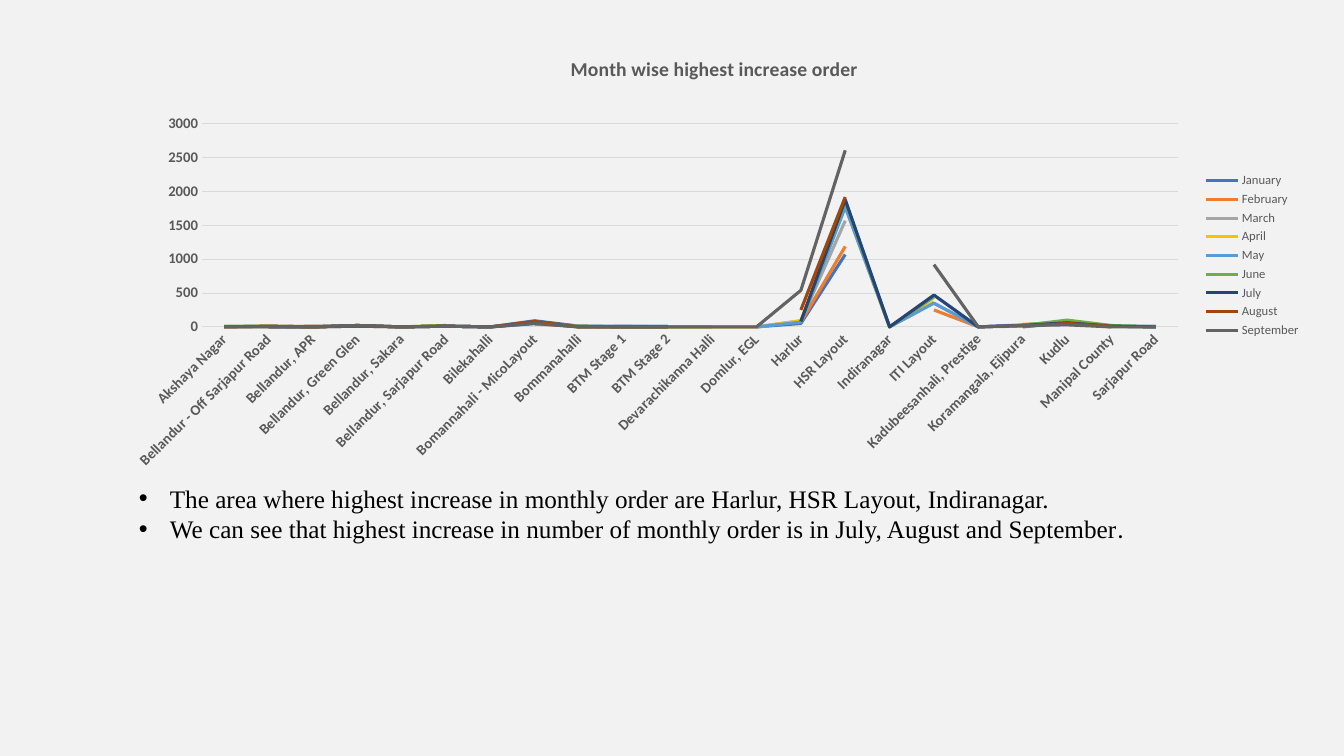
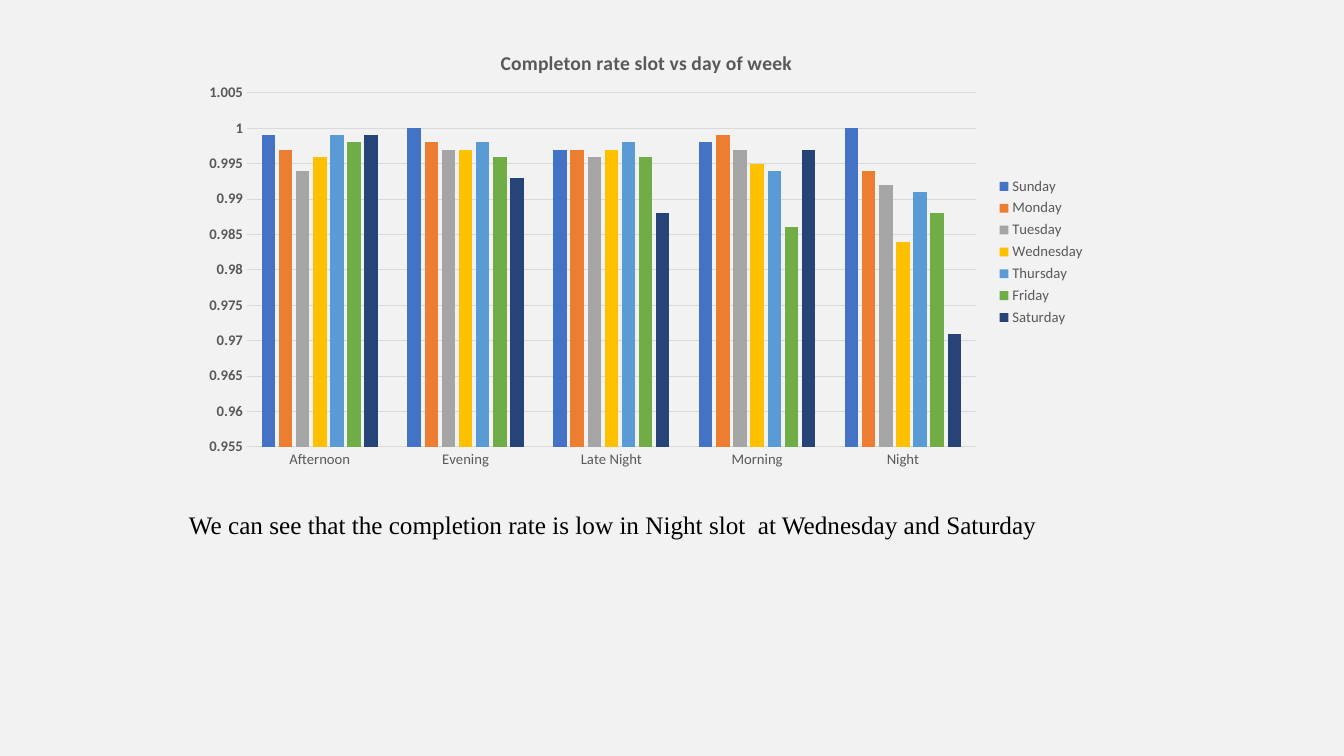
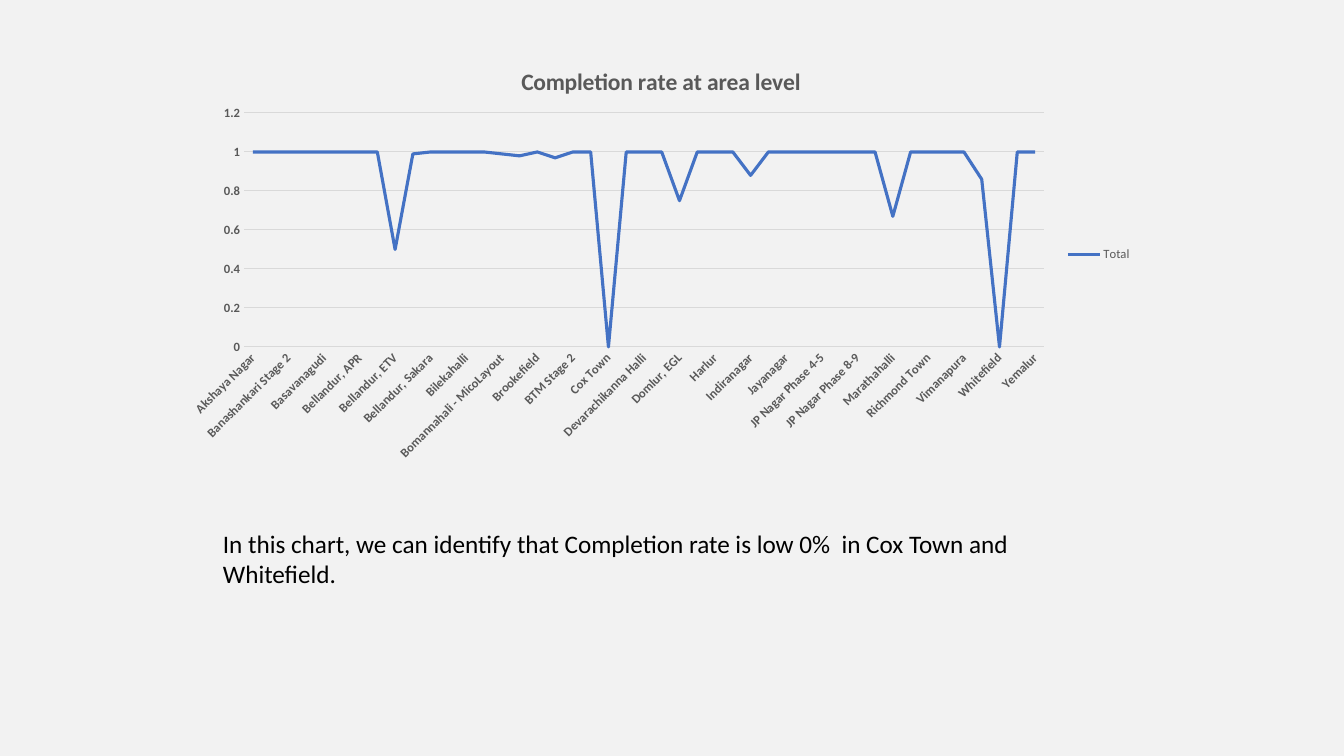
import pptx
import pptx.chart.data
import pptx.dml.color
import pptx.enum.chart
import pptx.enum.text
import pptx.oxml
import pptx.oxml.ns
import pptx.util

PX = 12192000 / 1344
BACKGROUND, INK, GREY, GRID = "F2F2F2", "000000", "595959", "D9D9D9"
PALETTE = ["4472C4", "ED7D31", "A5A5A5", "FFC000", "5B9BD5", "70AD47", "264478", "9E480E", "636363"]
LINE = pptx.enum.chart.XL_CHART_TYPE.LINE
COLUMN = pptx.enum.chart.XL_CHART_TYPE.COLUMN_CLUSTERED
SERIF, SANS = "Times New Roman", "Calibri"

ORDER_AREAS = [
    "Akshaya Nagar", "Bellandur - Off Sarjapur Road", "Bellandur, APR", "Bellandur, Green Glen",
    "Bellandur, Sakara", "Bellandur, Sarjapur Road", "Bilekahalli", "Bomannahali - MicoLayout",
    "Bommanahalli", "BTM Stage 1", "BTM Stage 2", "Devarachikanna Halli", "Domlur, EGL", "Harlur",
    "HSR Layout", "Indiranagar", "ITI Layout", "Kadubeesanhali, Prestige", "Koramangala, Ejipura",
    "Kudlu", "Manipal County", "Sarjapur Road"]
MONTHLY_ORDERS = {
    "January": [None, 0, 0, 10, None, 10, 0, 90, 10, 0, 0, 0, 0, 50, 1070, None, 260, None, 0, 60, 10, 0],
    "February": [None, 0, 10, 10, None, 0, None, 40, 10, 0, 0, 0, None, 70, 1190, None, 250, 0, 20, 50, 0, None],
    "March": [0, 0, 10, 10, 0, 10, 0, 50, 0, 10, 0, 0, 0, 90, 1570, None, 350, 0, 10, 50, 0, None],
    "April": [0, 10, 0, 20, 0, 20, None, 60, 0, 0, 0, 0, 0, 90, 1790, 0, 370, None, 40, 50, 10, 0],
    "May": [0, 10, 0, 20, 0, 10, 0, 50, 10, 10, 10, None, 0, 70, 1770, 0, 350, 0, 30, 80, 10, 10],
    "June": [10, 10, 0, 20, 0, 20, None, 60, 10, 0, 0, 0, None, 70, 1860, 0, 440, None, 20, 100, 20, 0],
    "July": [None, 0, 0, 20, 0, 10, 0, 60, 0, 0, 0, None, None, 80, 1880, 0, 470, 0, 20, 60, 10, 0],
    "August": [0, 10, 0, 10, 0, 10, 0, 80, 0, 0, 0, None, None, 250, 1920, None, 530, None, 10, 50, 10, None],
    "September": [0, 0, 0, 20, 0, 10, 0, 50, 0, 0, 0, 0, 0, 540, 2610, None, 920, 0, 20, 30, 0, 0],
}
SLOTS = ["Afternoon", "Evening", "Late Night", "Morning", "Night"]
DAY_RATES = {
    "Sunday": [0.999, 1, 0.997, 0.998, 1],
    "Monday": [0.997, 0.998, 0.997, 0.999, 0.994],
    "Tuesday": [0.994, 0.997, 0.996, 0.997, 0.992],
    "Wednesday": [0.996, 0.997, 0.997, 0.995, 0.984],
    "Thursday": [0.999, 0.998, 0.998, 0.994, 0.991],
    "Friday": [0.998, 0.996, 0.996, 0.986, 0.988],
    "Saturday": [0.999, 0.993, 0.988, 0.997, 0.971],
}
AREA_RATES = [
    ("Akshaya Nagar", 1), ("Arekere", 1), ("Banashankari Stage 2", 1), ("Bannerghatta", 1),
    ("Basavanagudi", 1), ("Bellandur - Off Sarjapur Road", 1), ("Bellandur, APR", 1),
    ("Bellandur, Ecospace", 1), ("Bellandur, ETV", 0.5), ("Bellandur, Green Glen", 0.99),
    ("Bellandur, Sakara", 1), ("Bellandur, Sarjapur Road", 1), ("Bilekahalli", 1), ("Binnipet", 1),
    ("Bomannahali - MicoLayout", 0.99), ("Bommanahalli", 0.98), ("Brookefield", 1),
    ("BTM Stage 1", 0.97), ("BTM Stage 2", 1), ("Challagatta", 1), ("Cox Town", 0),
    ("CV Raman Nagar", 1), ("Devarachikanna Halli", 1), ("Doddanekundi", 1), ("Domlur, EGL", 0.75),
    ("Frazer Town", 1), ("Harlur", 1), ("HSR Layout", 1), ("Indiranagar", 0.88), ("ITI Layout", 1),
    ("Jayanagar", 1), ("JP Nagar Phase 1-3", 1), ("JP Nagar Phase 4-5", 1), ("JP Nagar Phase 6-7", 1),
    ("JP Nagar Phase 8-9", 1), ("Kadubeesanhali, Prestige", 1), ("Marathahalli", 0.67),
    ("Pattandur", 1), ("Richmond Town", 1), ("Victoria Layout", 1), ("Vimanapura", 1),
    ("Viveka Nagar", 0.86), ("Whitefield", 0), ("Wilson Garden, Shantinagar", 1), ("Yemalur", 1)]

SLIDES = [
    {
        "title": "Month wise highest increase order", "title_size": 14, "title_at": (567, 52),
        "kind": LINE, "categories": ORDER_AREAS, "series": MONTHLY_ORDERS,
        "chart_at": (112, 32, 1199, 447), "plot_at": (202, 124, 976, 203),
        "scale": (0, 3000, 500), "axis_size": 10.5, "legend_size": 9, "bold_categories": True,
        "note_at": (129, 478, 1053, 72), "note_font": SERIF, "bulleted": True,
        "note": [
            [("The area where highest increase in monthly order are Harlur, HSR Layout, Indiranagar.", None)],
            [("We can see that highest increase in number of monthly order is in July, August and September", None),
             (".", SANS)]],
    },
    {
        "title": "Completon rate slot vs day of week", "title_size": 14, "title_at": (497, 46),
        "kind": COLUMN, "categories": SLOTS, "series": DAY_RATES,
        "chart_at": (192, 26, 904, 452), "plot_at": (247, 93, 729, 354),
        "scale": (0.955, 1.005, 0.005), "axis_size": 10.5, "legend_size": 10.5, "bold_categories": False,
        "note_at": (179, 504, 960, 40), "note_font": SERIF, "bulleted": False,
        "note": [[("We can see that the completion rate is low in Night slot  at Wednesday and Saturday", None)]],
    },
    {
        "title": "Completion rate at area level", "title_size": 16.8, "title_at": (517, 61),
        "kind": LINE, "categories": [area for area, rate in AREA_RATES],
        "series": {"Total": [rate for area, rate in AREA_RATES]},
        "chart_at": (173, 40, 969, 429), "plot_at": (244, 113, 800, 234),
        "scale": (0, 1.2, 0.2), "axis_size": 9, "legend_size": 9, "bold_categories": True,
        "note_at": (213, 523, 867, 72), "note_font": SANS, "bulleted": False,
        "note": [[("In this chart, we can identify that Completion rate is low 0%  in Cox Town and Whitefield.", None)]],
    },
]


def px(*lengths):
    return [round(length * PX) for length in lengths]


def colour(hex_string):
    return pptx.dml.color.RGBColor.from_string(hex_string)


def style(font, size, hex_string, bold=False, name=SANS):
    font.size = pptx.util.Pt(size)
    font.color.rgb = colour(hex_string)
    font.bold = bold
    font.name = name


def rule(line, hex_string, width):
    line.color.rgb = colour(hex_string)
    line.width = pptx.util.Pt(width)


def xml(markup):
    tag, rest = markup.split(">", 1) if not markup.endswith("/>") else (markup[:-2], None)
    spaces = pptx.oxml.ns.nsdecls("a", "c")
    return pptx.oxml.parse_xml(f"{tag} {spaces}/>" if rest is None else f"{tag} {spaces}>{rest}")


def place(part, index, chart_at, box, inner=False):
    for layout in part.xpath("c:layout"):
        part.remove(layout)
    left, top, width, height = chart_at
    shares = [(box[0] - left) / width, (box[1] - top) / height]
    shares += [length / whole for length, whole in zip(box[2:], (width, height))]
    target = '<c:layoutTarget val="inner"/>' if inner else ""
    modes = '<c:xMode val="edge"/><c:yMode val="edge"/>'
    lengths = "".join(f'<c:{key} val="{share:.4f}"/>' for key, share in zip("xywh", shares))
    part.insert(index, xml(f"<c:layout><c:manualLayout>{target}{modes}{lengths}</c:manualLayout></c:layout>"))


def add_chart(slide, content):
    data = pptx.chart.data.CategoryChartData()
    data.categories = content["categories"]
    for name, values in content["series"].items():
        data.add_series(name, values)
    chart = slide.shapes.add_chart(content["kind"], *px(*content["chart_at"]), data).chart
    style(chart.font, 10, INK)

    chart.has_title = True
    heading = chart.chart_title.text_frame
    heading.text = content["title"]
    style(heading.paragraphs[0].font, content["title_size"], GREY, True)

    chart.has_legend = True
    chart.legend.position = pptx.enum.chart.XL_LEGEND_POSITION.RIGHT
    chart.legend.include_in_layout = False
    style(chart.legend.font, content["legend_size"], GREY)

    areas, amounts = chart.category_axis, chart.value_axis
    for axis, bold in ((areas, content["bold_categories"]), (amounts, True)):
        axis.major_tick_mark = axis.minor_tick_mark = pptx.enum.chart.XL_TICK_MARK.NONE
        style(axis.tick_labels.font, content["axis_size"], GREY, bold)
    rule(areas.format.line, GRID, 0.75)
    amounts.format.line.fill.background()
    amounts.has_major_gridlines = True
    rule(amounts.major_gridlines.format.line, GRID, 0.75)
    amounts.minimum_scale, amounts.maximum_scale, amounts.major_unit = content["scale"]

    plot = chart.plots[0]
    plot.vary_by_categories = False
    root = chart._chartSpace
    if content["kind"] == COLUMN:
        plot.gap_width, plot.overlap = 219, -27
    else:
        root.xpath(".//c:catAx/c:txPr/a:bodyPr")[0].set("rot", "-2700000")
    for series, hue in zip(plot.series, PALETTE):
        if content["kind"] == COLUMN:
            series.format.fill.solid()
            series.format.fill.fore_color.rgb = colour(hue)
        else:
            series.smooth = False
            rule(series.format.line, hue, 2.25)

    place(root.xpath("c:chart/c:title")[0], 1, content["chart_at"], content["title_at"])
    place(root.xpath("c:chart/c:plotArea")[0], 0, content["chart_at"], content["plot_at"], True)
    root.xpath("c:chart")[0].addnext(xml("<c:spPr><a:noFill/><a:ln><a:noFill/></a:ln></c:spPr>"))


def add_note(slide, content):
    frame = slide.shapes.add_textbox(*px(*content["note_at"])).text_frame
    frame.word_wrap = True
    frame.auto_size = pptx.enum.text.MSO_AUTO_SIZE.SHAPE_TO_FIT_TEXT
    for index, pieces in enumerate(content["note"]):
        paragraph = frame.add_paragraph() if index else frame.paragraphs[0]
        style(paragraph.font, 18, INK, name=content["note_font"])
        for words, font_name in pieces:
            run = paragraph.add_run()
            run.text = words
            if font_name:
                run.font.name = font_name
        if content["bulleted"]:
            settings = paragraph._p.get_or_add_pPr()
            indent = px(31)[0]
            settings.set("marL", str(indent))
            settings.set("indent", str(-indent))
            settings.insert(0, xml('<a:buFont typeface="Arial"/>'))
            settings.insert(1, xml('<a:buChar char="•"/>'))


def main():
    deck = pptx.Presentation()
    deck.slide_width, deck.slide_height = px(1344, 756)
    backdrop = deck.slide_master.background.fill
    backdrop.solid()
    backdrop.fore_color.rgb = colour(BACKGROUND)
    for content in SLIDES:
        slide = deck.slides.add_slide(deck.slide_layouts[6])
        add_note(slide, content)
        add_chart(slide, content)
    deck.save("out.pptx")


if __name__ == "__main__":
    main()
